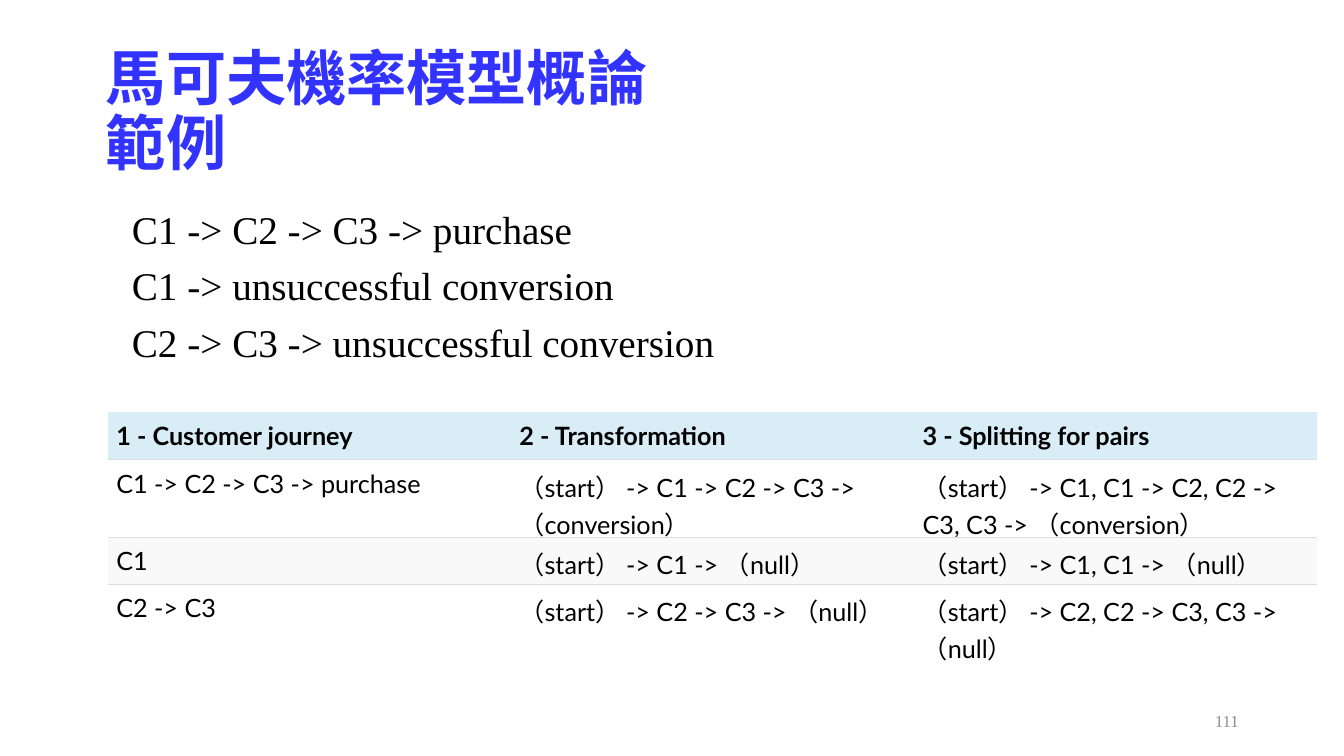
from dataclasses import dataclass

from lxml import etree
from pptx import Presentation
from pptx.dml.color import RGBColor
from pptx.enum.text import MSO_ANCHOR, MSO_AUTO_SIZE, PP_ALIGN
from pptx.oxml.ns import qn
from pptx.util import Cm, Pt

TOP, MIDDLE = MSO_ANCHOR.TOP, MSO_ANCHOR.MIDDLE
LEFT, RIGHT = PP_ALIGN.LEFT, PP_ALIGN.RIGHT
NO_FIT, GROW = MSO_AUTO_SIZE.NONE, MSO_AUTO_SIZE.SHAPE_TO_FIT_TEXT
SERIF, SANS = "Times New Roman", "Lato"
BLACK, BLUE, GREY = "000000", "3333FF", "8C8C8C"
RULE_GREY = "DDDDDD"
PLAIN_TABLE_STYLE = "{2D5ABB26-0587-4C30-8999-92F81FD0307C}"


@dataclass
class Row:
    height: float
    fill: str
    texts: tuple[str, str, str]
    bold: bool = False
    anchor: MSO_ANCHOR = TOP


JOURNEYS = (
    "C1 -> C2 -> C3 -> purchase",
    "C1 -> unsuccessful conversion",
    "C2 -> C3 -> unsuccessful conversion",
)
ROWS = (
    Row(1.2, "D9EDF7",
        ("1 - Customer journey", "2 - Transformation", "3 - Splitting for pairs"),
        bold=True, anchor=MIDDLE),
    Row(1.94, "FFFFFF",
        ("C1 -> C2 -> C3 -> purchase",
         "（start） -> C1 -> C2 -> C3 -> （conversion）",
         "（start） -> C1, C1 -> C2, C2 -> C3, C3 -> （conversion）")),
    Row(1.19, "F9F9F9",
        ("C1", "（start） -> C1 -> （null）", "（start） -> C1, C1 -> （null）")),
    Row(1.94, "FFFFFF",
        ("C2 -> C3", "（start） -> C2 -> C3 -> （null）",
         "（start） -> C2, C2 -> C3, C3 -> （null）")),
)
COLUMN_WIDTH = 10.16


def rgb(colour: str) -> RGBColor:
    return RGBColor.from_string(colour)


def set_all(target, values: dict) -> None:
    """Set each named attribute of target."""
    for name, value in values.items():
        setattr(target, name, value)


def place(shape, left: float, top: float, width: float, height: float) -> None:
    """Move and size a shape, in centimetres."""
    set_all(shape, {"left": Cm(left), "top": Cm(top),
                    "width": Cm(width), "height": Cm(height)})


def set_font(font, name: str, size: float, colour: str, bold: bool = False) -> None:
    set_all(font, {"name": name, "size": Pt(size), "bold": bold})
    font.color.rgb = rgb(colour)


def margins(side: float, end: float) -> dict:
    return {"margin_left": Cm(side), "margin_right": Cm(side),
            "margin_top": Cm(end), "margin_bottom": Cm(end)}


def add_title(slide) -> None:
    title = slide.shapes.title
    place(title, 2.34, 1.02, 29.21, 3.68)
    frame = title.text_frame
    set_all(frame, {"vertical_anchor": MIDDLE, "auto_size": NO_FIT,
                    "word_wrap": True, **margins(0.33, 0.17)})
    paragraph = frame.paragraphs[0]
    paragraph.text = "馬可夫機率模型概論\v範例"
    set_all(paragraph, {"alignment": LEFT, "line_spacing": 0.9})
    for run in paragraph.runs:
        set_font(run.font, SERIF, 43, BLUE, bold=True)


def add_journeys(slide) -> None:
    body = slide.placeholders[1]
    place(body, 3.07, 5.18, 16.94, 4.19)
    frame = body.text_frame
    set_all(frame, {"auto_size": GROW, "word_wrap": True, "vertical_anchor": TOP})
    frame.text = "\n".join(JOURNEYS)
    for index, paragraph in enumerate(frame.paragraphs):
        properties = paragraph._p.get_or_add_pPr()
        set_all(paragraph, {"alignment": LEFT, "line_spacing": 0.9,
                            "space_before": Pt(10 if index else 0)})
        properties.set("marL", "0")
        properties.set("indent", "0")
        etree.SubElement(properties, qn("a:buNone"))
        set_font(paragraph.runs[0].font, SERIF, 28, BLACK)


def add_top_rule(cell) -> None:
    line = etree.SubElement(cell._tc.get_or_add_tcPr(), qn("a:lnT"), w=str(Pt(0.75)))
    fill = etree.SubElement(line, qn("a:solidFill"))
    etree.SubElement(fill, qn("a:srgbClr"), val=RULE_GREY)


def add_journey_table(slide) -> None:
    columns = len(ROWS[0].texts)
    table = slide.shapes.add_table(
        len(ROWS), columns, Cm(2.72), Cm(10.39),
        Cm(COLUMN_WIDTH * columns), Cm(sum(row.height for row in ROWS))).table
    table.horz_banding = False
    table._tbl.tblPr.find(qn("a:tableStyleId")).text = PLAIN_TABLE_STYLE
    for column in table.columns:
        column.width = Cm(COLUMN_WIDTH)
    for row_index, row in enumerate(ROWS):
        table.rows[row_index].height = Cm(row.height)
        for cell, text in zip(table.rows[row_index].cells, row.texts):
            if row_index:
                add_top_rule(cell)
            cell.fill.solid()
            cell.fill.fore_color.rgb = rgb(row.fill)
            set_all(cell, {"text": text, "vertical_anchor": row.anchor,
                           **margins(0.21, 0.21)})
            run = cell.text_frame.paragraphs[0].runs[0]
            set_font(run.font, SANS, 18, BLACK, row.bold)


def add_page_number(slide) -> None:
    page = slide.shapes.add_textbox(Cm(23.93), Cm(17.65), Cm(7.62), Cm(1.02))
    frame = page.text_frame
    set_all(frame, {"word_wrap": True, "vertical_anchor": MIDDLE,
                    **margins(0.33, 0.17)})
    paragraph = frame.paragraphs[0]
    set_all(paragraph, {"text": "111", "alignment": RIGHT})
    set_font(paragraph.runs[0].font, SERIF, 12, GREY)


def main() -> None:
    deck = Presentation()
    set_all(deck, {"slide_width": Cm(33.87), "slide_height": Cm(19.05)})
    slide = deck.slides.add_slide(deck.slide_layouts[1])
    add_title(slide)
    add_page_number(slide)
    add_journeys(slide)
    add_journey_table(slide)
    deck.save("out.pptx")


if __name__ == "__main__":
    main()
